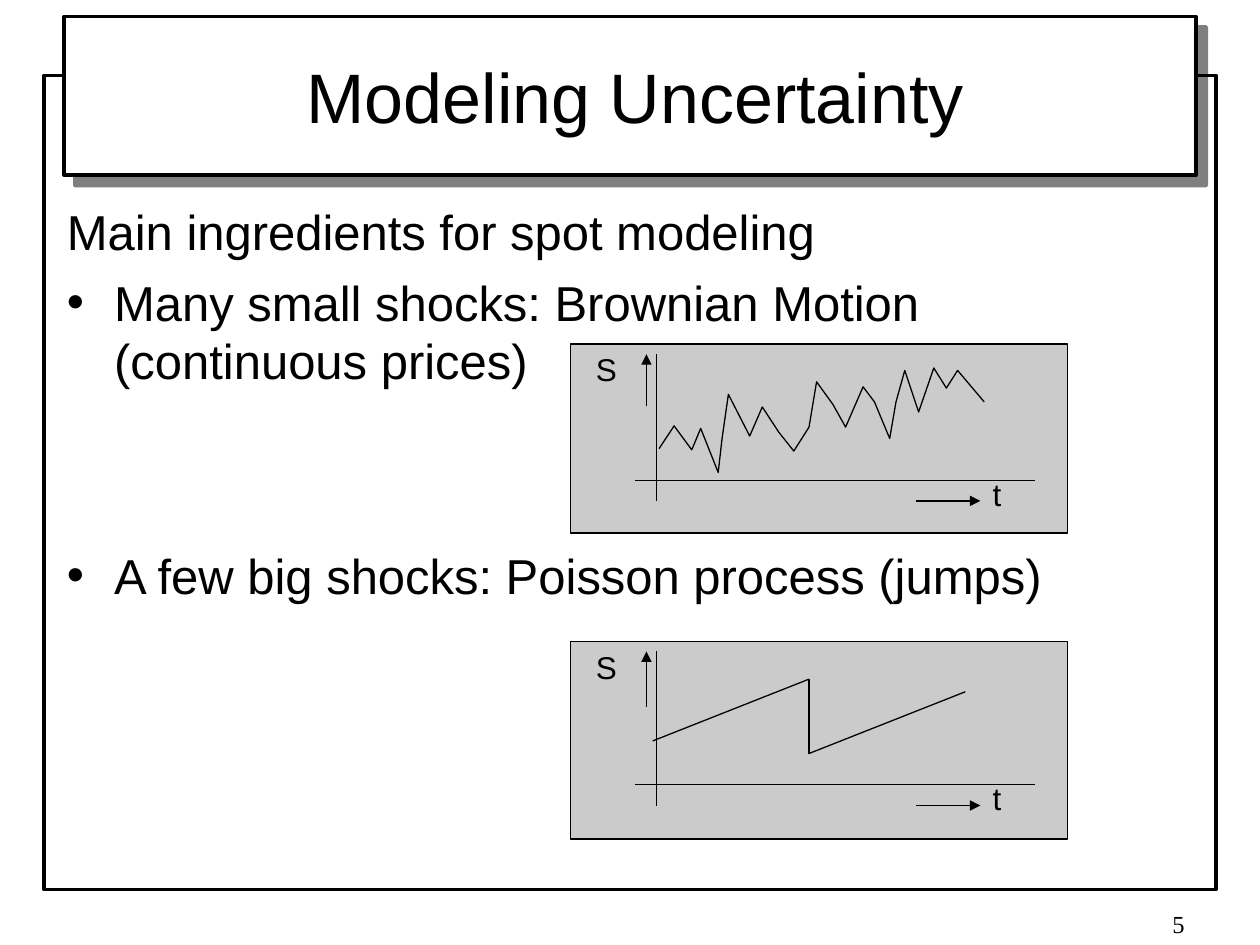
"""Builds the slide on modelling uncertainty with diffusion and jump sketches."""
from dataclasses import dataclass
from itertools import pairwise

from lxml.etree import SubElement
from pptx import Presentation
from pptx.dml.color import RGBColor
from pptx.enum.shapes import MSO_CONNECTOR, MSO_SHAPE
from pptx.enum.text import MSO_ANCHOR, MSO_AUTO_SIZE, PP_ALIGN
from pptx.oxml.ns import qn
from pptx.util import Pt


@dataclass(frozen=True)
class Theme:
    ink: RGBColor = RGBColor(0, 0, 0)
    paper: RGBColor = RGBColor(255, 255, 255)
    panel: RGBColor = RGBColor(0xCB, 0xCB, 0xCB)
    font: str = "Arial"
    number_font: str = "Times New Roman"
    title: float = 40
    body: float = 28
    label: float = 18
    number: float = 14
    frame_line: float = 2
    line: float = 0.75


THEME = Theme()
TITLE = "Modeling Uncertainty"
BODY = [
    ("Main ingredients for spot modeling", False, 0),
    ("Many small shocks: Brownian Motion (continuous prices)", True, 7),
    ("A few big shocks: Poisson process (jumps)", True, 89),
]
PAGE = "5"
BROWNIAN = [
    (50.4, 59.8), (59, 46.8), (69.1, 60.5), (74.2, 48.2), (84.2, 73.4),
    (86.4, 54), (90, 28.8), (102.2, 52.6), (109.4, 36), (118.8, 50.4),
    (127.4, 61.2), (136.1, 47.5), (140.4, 21.6), (149.8, 34.6), (157, 47.5),
    (167, 24.5), (173.5, 33.1), (182.2, 54), (185.8, 33.1), (190.8, 15.1),
    (198.7, 38.9), (207.4, 13.7), (214.6, 25.2), (221, 15.1), (236.2, 33.1),
]
JUMPS = [(46.8, 56.9), (136.1, 21.6), (136.1, 64.1), (225.4, 28.8)]
PANEL_LEFT, PANEL_WIDTH = 326.2, 283.7
PANELS = {"brownian": (196.6, 108), "jumps": (366.5, 113)}


def place(sp, left, top, width, height):
    sp.left, sp.top, sp.width, sp.height = map(Pt, (left, top, width, height))


def add_run(p, text, size, font=THEME.font):
    r = p.add_run()
    r.text = text
    r.font.size, r.font.name = Pt(size), font
    r.font.color.rgb = THEME.ink


def set_line(sp, width):
    sp.line.color.rgb = THEME.ink
    sp.line.width = Pt(width)


def add_rect(shapes, box, fill, width):
    sp = shapes.add_shape(MSO_SHAPE.RECTANGLE, *map(Pt, box))
    sp.shadow.inherit = False
    if fill is None:
        sp.fill.background()
    else:
        sp.fill.solid()
        sp.fill.fore_color.rgb = fill
    set_line(sp, width)
    return sp


def add_line(shapes, start, end, arrow=False):
    line = shapes.add_connector(MSO_CONNECTOR.STRAIGHT, *map(Pt, (*start, *end)))
    set_line(line, THEME.line)
    if arrow:
        SubElement(line.line._get_or_add_ln(), qn("a:tailEnd"), type="triangle")
    SubElement(line._element.spPr, qn("a:effectLst"))


def add_text(shapes, box, text, size, font=THEME.font, align=PP_ALIGN.LEFT):
    tf = shapes.add_textbox(*map(Pt, box)).text_frame
    tf.word_wrap = True
    p = tf.paragraphs[0]
    p.alignment = align
    add_run(p, text, size, font)


def add_frames(slide):
    border = add_rect(slide.shapes, (25.2, 43.2, 669.6, 465.1), None, THEME.frame_line)
    banner = add_rect(slide.shapes, (36.7, 9.4, 646.6, 90.7), THEME.paper, THEME.frame_line)
    effects = banner._element.spPr.find(qn("a:effectLst"))
    shadow = SubElement(effects, qn("a:outerShdw"), blurRad="0", dist=str(Pt(8.5)),
                        dir=str(45 * 60000), algn="tl", rotWithShape="0")
    color = SubElement(shadow, qn("a:srgbClr"), val=str(THEME.ink))
    SubElement(color, qn("a:alpha"), val="50000")
    for depth, sp in enumerate((border, banner), 2):
        slide.shapes._spTree.insert(depth, sp._element)


def fill_title(sp):
    place(sp, 48.2, 9.4, 629.3, 90)
    tf = sp.text_frame
    tf.auto_size, tf.vertical_anchor = MSO_AUTO_SIZE.NONE, MSO_ANCHOR.MIDDLE
    p = tf.paragraphs[0]
    p.alignment = PP_ALIGN.CENTER
    add_run(p, TITLE, THEME.title)


def fill_body(sp):
    place(sp, 31, 111.6, 651, 391)
    tf = sp.text_frame
    tf.auto_size, tf.vertical_anchor = MSO_AUTO_SIZE.NONE, MSO_ANCHOR.TOP
    for i, (text, bullet, before) in enumerate(BODY):
        p = tf.add_paragraph() if i else tf.paragraphs[0]
        p.space_before, p.line_spacing = Pt(before), Pt(33.5)
        pPr = p._p.get_or_add_pPr()
        pPr.set("marL", str(Pt(27)))
        pPr.set("indent", str(Pt(-27)))
        if bullet:
            SubElement(pPr, qn("a:buFont"), typeface=THEME.font)
            SubElement(pPr, qn("a:buChar"), char="•")
        else:
            SubElement(pPr, qn("a:buNone"))
        add_run(p, text, THEME.body)


def add_panel(slide, top, height):
    shapes = slide.shapes.add_group_shape().shapes

    def at(x, y):
        return PANEL_LEFT + x, top + y

    axis, foot, head = 0.723 * height, 0.83 * height, 5.8
    add_rect(shapes, (PANEL_LEFT, top, PANEL_WIDTH, height), THEME.panel, THEME.line)
    add_line(shapes, at(49, head), at(49, foot))
    add_line(shapes, at(36.7, axis), at(265, axis))
    add_text(shapes, (*at(234, axis - 6.5), 24.5, 28.8), "t", THEME.label)
    add_line(shapes, at(197.3, foot), at(234, foot), arrow=True)
    add_line(shapes, at(43.2, 0.33 * height), at(43.2, head), arrow=True)
    add_text(shapes, (*at(7.2, 0), 28.1, 28.8), "S", THEME.label)
    return shapes, at


def add_brownian(slide):
    shapes, at = add_panel(slide, *PANELS["brownian"])
    start, *rest = [tuple(map(Pt, at(*point))) for point in BROWNIAN]
    builder = shapes.build_freeform(*start)
    builder.add_line_segments(rest, close=False)
    sp = builder.convert_to_shape()
    sp.shadow.inherit = False
    sp.fill.background()
    set_line(sp, THEME.line)


def add_jumps(slide):
    shapes, at = add_panel(slide, *PANELS["jumps"])
    for start, end in pairwise(JUMPS):
        add_line(shapes, at(*start), at(*end))


def main():
    prs = Presentation()
    prs.slide_width, prs.slide_height = Pt(720), Pt(540)
    slide = prs.slides.add_slide(prs.slide_layouts[1])
    add_frames(slide)
    fill_title(slide.shapes.title)
    fill_body(slide.placeholders[1])
    add_brownian(slide)
    add_jumps(slide)
    add_text(slide.shapes, (516.2, 516.2, 167.8, 23.8), PAGE, THEME.number,
             THEME.number_font, PP_ALIGN.RIGHT)
    prs.save("out.pptx")


if __name__ == "__main__":
    main()
